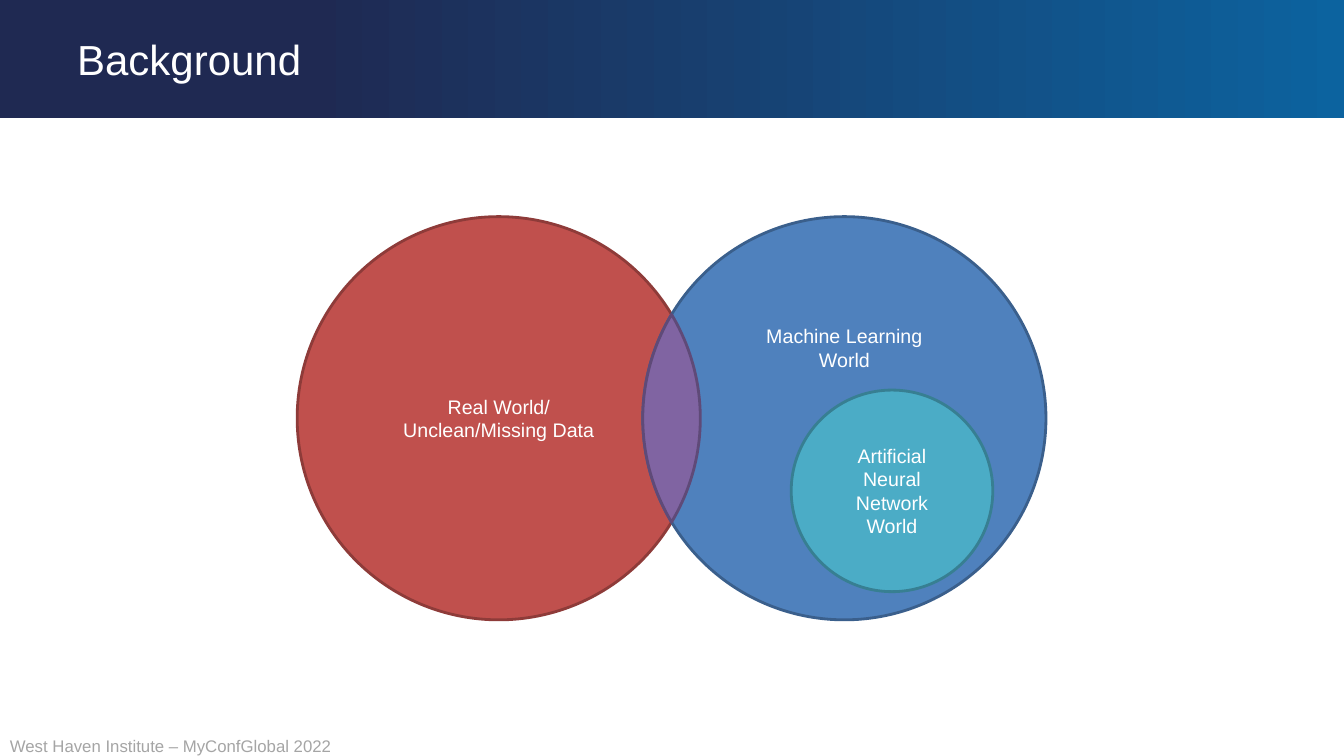
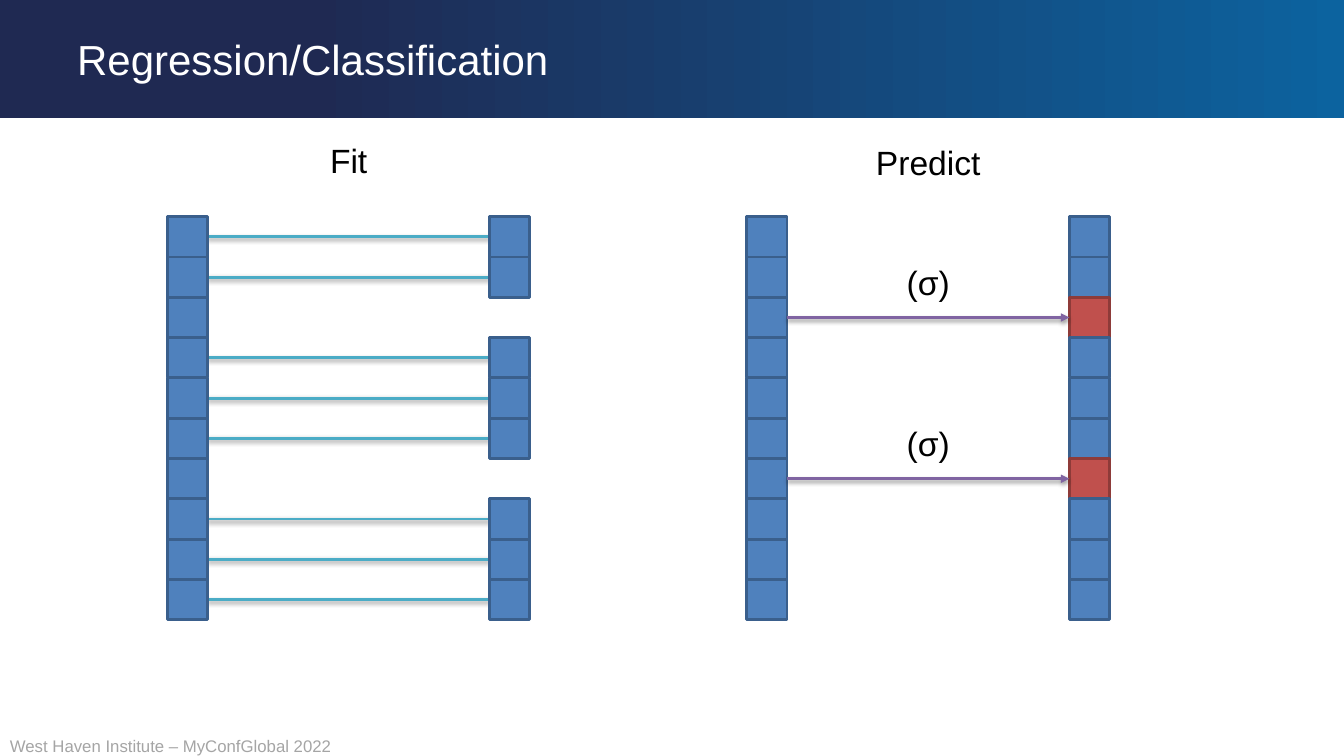
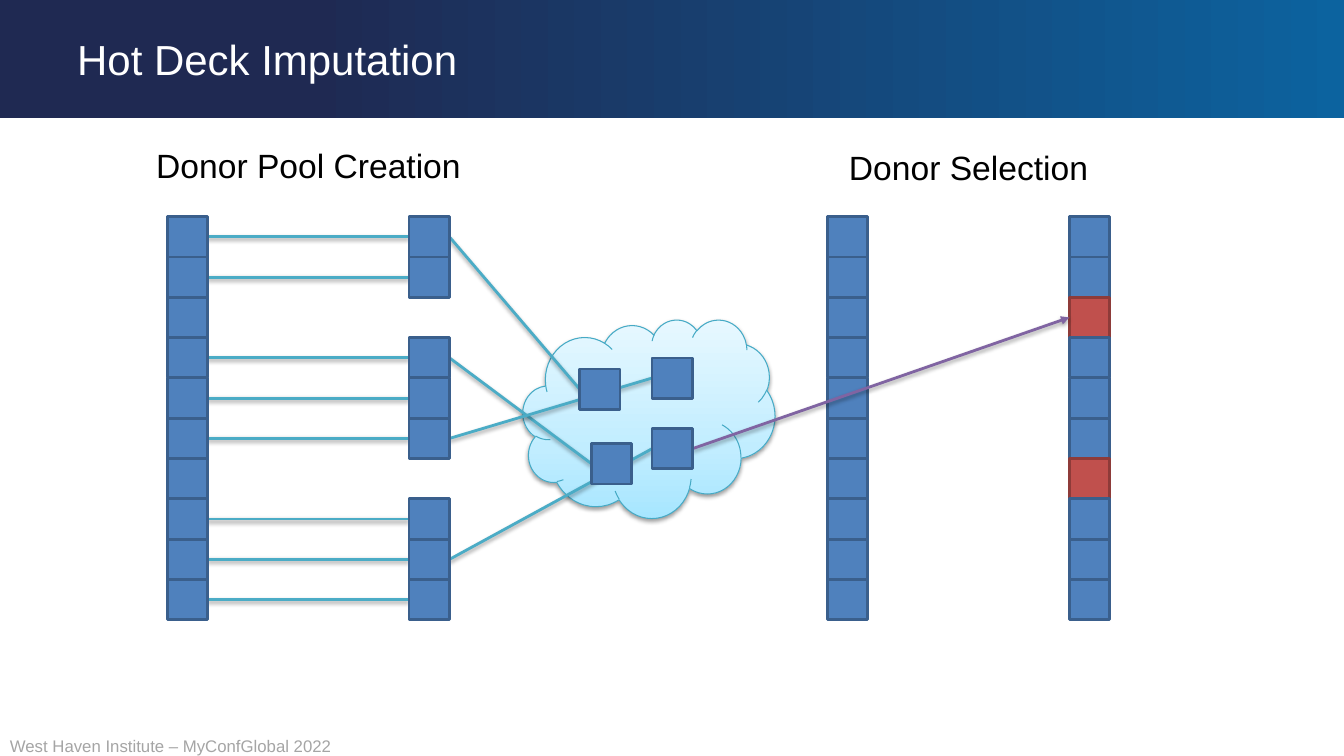
from math import acos, cos, pi, sin

from pptx import Presentation
from pptx.dml.color import RGBColor
from pptx.enum.shapes import MSO_CONNECTOR, MSO_SHAPE
from pptx.enum.text import MSO_ANCHOR, MSO_AUTO_SIZE, PP_ALIGN
from pptx.oxml import parse_xml
from pptx.oxml.ns import nsdecls
from pptx.util import Cm, Pt

# Shared look
FONT = "Arial"
WHITE, BLACK, GREY = "FFFFFF", "000000", "A5A5A5"
BLUE, RED = ("4F81BD", "3A5F8C"), ("C0504D", "8E3B39")
TEAL, PURPLE = ("4BACC6", "377F92"), ("8064A2", "5F4A78")
BAND_STOPS = [(0, "1F2952"), (23, "1F2952"), (100, "0C639F")]
CLOUD_STOPS = [(0, "A7E6FF"), (35, "C1EDFF"), (100, "E7F8FF")]
CLOUD_EDGE = "46AAC5"
SLIDE_WIDTH, SLIDE_HEIGHT, BAND_HEIGHT = 33.87, 19.05, 2.97
FOOTER = "West Haven Institute – MyConfGlobal 2022"

# Venn diagram: text, left, top, diameter, colours, extra bottom inset
CIRCLES = [
    ("Real World/\nUnclean/Missing Data", 7.49, 5.46, 10.16, RED, 0),
    ("Machine Learning\nWorld", 16.2, 5.46, 10.16, BLUE, 3.56),
    ("Artificial Neural Network\nWorld", 19.94, 9.83, 5.08, TEAL, 0),
]

# Columns of cells, as rows and left edges
ROWS, COLUMN_TOP, COLUMN_HEIGHT = 10, 5.46, 10.16
CELL = COLUMN_HEIGHT / ROWS
MISSING = (2, 6)
KNOWN = [row for row in range(ROWS) if row not in MISSING]
REGRESSION = {
    "title": "Regression/Classification",
    "columns": (4.22, 12.34, 18.82, 26.95),
    "headings": [("Fit", 3.4), ("Predict", 3.45)],
}
HOT_DECK = {
    "title": "Hot Deck Imputation",
    "columns": (4.22, 10.31, 20.85, 26.95),
    "headings": [("Donor Pool Creation", 3.53), ("Donor Selection", 3.58)],
}
# Donor cells in the cloud: known row they come from, left, top
DONORS = [(0, 14.61, 9.3), (3, 14.91, 11.18), (5, 16.43, 9.02), (8, 16.43, 10.8)]
CLOUD = (13.18, 8.05, 6.35, 5)


def colour(code):
    return RGBColor.from_string(code)


def box_of(left, top, width, height):
    return Cm(left), Cm(top), Cm(width), Cm(height)


def write(shape, text, size, code, align=PP_ALIGN.CENTER, anchor=MSO_ANCHOR.TOP):
    frame = shape.text_frame
    frame.text = text
    frame.word_wrap = True
    frame.auto_size = MSO_AUTO_SIZE.NONE
    frame.vertical_anchor = anchor
    for para in frame.paragraphs:
        para.alignment = align
        para.font.name = FONT
        para.font.size = Pt(size)
        para.font.color.rgb = colour(code)


def add_label(page, text, box, size, code, align=PP_ALIGN.CENTER):
    label = page.shapes.add_textbox(*box_of(*box))
    write(label, text, size, code, align)
    return label


def paint(shape, colours):
    fill, line = colours
    shape.shadow.inherit = False
    shape.fill.solid()
    shape.fill.fore_color.rgb = colour(fill)
    shape.line.color.rgb = colour(line)
    shape.line.width = Pt(2)


def paint_gradient(shape, stops, angle):
    marks = "".join(
        f'<a:gs pos="{place * 1000}"><a:srgbClr val="{code}"/></a:gs>' for place, code in stops)
    shape.element.spPr.append(parse_xml(
        f'<a:gradFill {nsdecls("a")} rotWithShape="1"><a:gsLst>{marks}</a:gsLst>'
        f'<a:lin ang="{angle * 60000}" scaled="0"/></a:gradFill>'))


def add_shadow(shape):
    shape.element.spPr.append(parse_xml(
        f'<a:effectLst {nsdecls("a")}><a:outerShdw blurRad="40000" dist="20000" dir="5400000" '
        f'rotWithShape="0"><a:srgbClr val="{BLACK}"><a:alpha val="38000"/></a:srgbClr>'
        '</a:outerShdw></a:effectLst>'))


def add_link(page, start, end, code, arrow=False):
    link = page.shapes.add_connector(
        MSO_CONNECTOR.STRAIGHT, *(Cm(value) for value in (*start, *end)))
    link.line.color.rgb = colour(code)
    link.line.width = Pt(2)
    if arrow:
        link.line._get_or_add_ln().append(
            parse_xml(f'<a:tailEnd {nsdecls("a")} type="triangle"/>'))
    add_shadow(link)


def add_cell(page, left, top, colours=BLUE):
    cell = page.shapes.add_shape(MSO_SHAPE.RECTANGLE, *box_of(left, top, CELL, CELL))
    paint(cell, colours)


def add_column(page, left, rows=range(ROWS), marked=()):
    for row in rows:
        add_cell(page, left, COLUMN_TOP + row * CELL, RED if row in marked else BLUE)


def row_middle(row):
    return COLUMN_TOP + (row + 0.5) * CELL


def add_page(deck, title):
    page = deck.slides.add_slide(deck.slide_layouts[5])
    holder = page.shapes.title
    holder.left, holder.top, holder.width, holder.height = box_of(1.69, 0, 30.06, BAND_HEIGHT)
    write(holder, title, 30, WHITE, PP_ALIGN.LEFT, MSO_ANCHOR.MIDDLE)
    return page


def dress_layout(page):
    """Build the band and footer, then move them to the layout all pages use."""
    band = page.shapes.add_shape(
        MSO_SHAPE.RECTANGLE, *box_of(0, 0, SLIDE_WIDTH, BAND_HEIGHT))
    paint_gradient(band, BAND_STOPS, 0)
    band.line.fill.background()
    band.shadow.inherit = False
    footer = add_label(page, FOOTER, (0, 18.42, 16.94, 0.76), 12, GREY, PP_ALIGN.LEFT)
    for place, part in enumerate((band, footer), start=2):
        page.slide_layout.shapes.element.insert(place, part.element)


def draw_lens(page):
    """Outline the overlap of the first two circles."""
    (_, left, top, size, *_), (_, right, *_) = CIRCLES[:2]
    radius = size / 2
    half_angle = acos((right - left) / size)
    steps = 40
    points = []
    for centre, turn in ((left + radius, 0), (right + radius, pi)):
        for step in range(steps):
            angle = turn - half_angle + 2 * half_angle * step / steps
            points.append((Cm(centre + radius * cos(angle)),
                           Cm(top + radius + radius * sin(angle))))
    builder = page.shapes.build_freeform(*points[0])
    builder.add_line_segments(points[1:], close=True)
    paint(builder.convert_to_shape(), PURPLE)


def draw_background(page):
    for text, left, top, size, colours, inset in CIRCLES:
        circle = page.shapes.add_shape(MSO_SHAPE.OVAL, *box_of(left, top, size, size))
        paint(circle, colours)
        write(circle, text, 14, WHITE, anchor=MSO_ANCHOR.MIDDLE)
        circle.text_frame.margin_bottom = Cm(0.13 + inset)
    draw_lens(page)


def draw_columns(page, content):
    """Draw the known pairs, the full columns and their headings."""
    source, known, inputs, outputs = content["columns"]
    for row in KNOWN:
        add_link(page, (source + CELL, row_middle(row)), (known, row_middle(row)), TEAL[0])
    add_column(page, source)
    add_column(page, known, KNOWN)
    add_column(page, inputs)
    add_column(page, outputs, marked=MISSING)
    pairs = ((source, known), (inputs, outputs))
    for (text, top), (first, last) in zip(content["headings"], pairs):
        add_label(page, text, ((first + last + CELL - 8.8) / 2, top, 8.8, 1.28), 24, BLACK)


def draw_regression(page):
    draw_columns(page, REGRESSION)
    inputs, outputs = REGRESSION["columns"][2:]
    for row in MISSING:
        middle = row_middle(row)
        add_link(page, (inputs + CELL, middle), (outputs, middle), PURPLE[0], arrow=True)
        centre = (inputs + outputs + CELL) / 2
        add_label(page, "(σ)", (centre - 0.92, middle - 1.52, 1.84, 1.28), 24, BLACK)


def draw_hot_deck(page):
    cloud = page.shapes.add_shape(MSO_SHAPE.CLOUD, *box_of(*CLOUD))
    paint_gradient(cloud, CLOUD_STOPS, 270)
    cloud.line.color.rgb = colour(CLOUD_EDGE)
    cloud.line.width = Pt(0.75)
    add_shadow(cloud)
    known, _, outputs = HOT_DECK["columns"][1:]
    for row, left, top in DONORS:
        add_link(page, (known + CELL, row_middle(row)), (left, top + CELL / 2), TEAL[0])
    draw_columns(page, HOT_DECK)
    _, left, top = DONORS[-1]
    add_link(page, (left + CELL, top + CELL / 2), (outputs, row_middle(MISSING[0])),
             PURPLE[0], arrow=True)
    for _, left, top in DONORS:
        add_cell(page, left, top)


def main():
    deck = Presentation()
    deck.slide_width, deck.slide_height = Cm(SLIDE_WIDTH), Cm(SLIDE_HEIGHT)
    first_page = add_page(deck, "Background")
    dress_layout(first_page)
    draw_background(first_page)
    draw_regression(add_page(deck, REGRESSION["title"]))
    draw_hot_deck(add_page(deck, HOT_DECK["title"]))
    deck.save("out.pptx")


if __name__ == "__main__":
    main()
